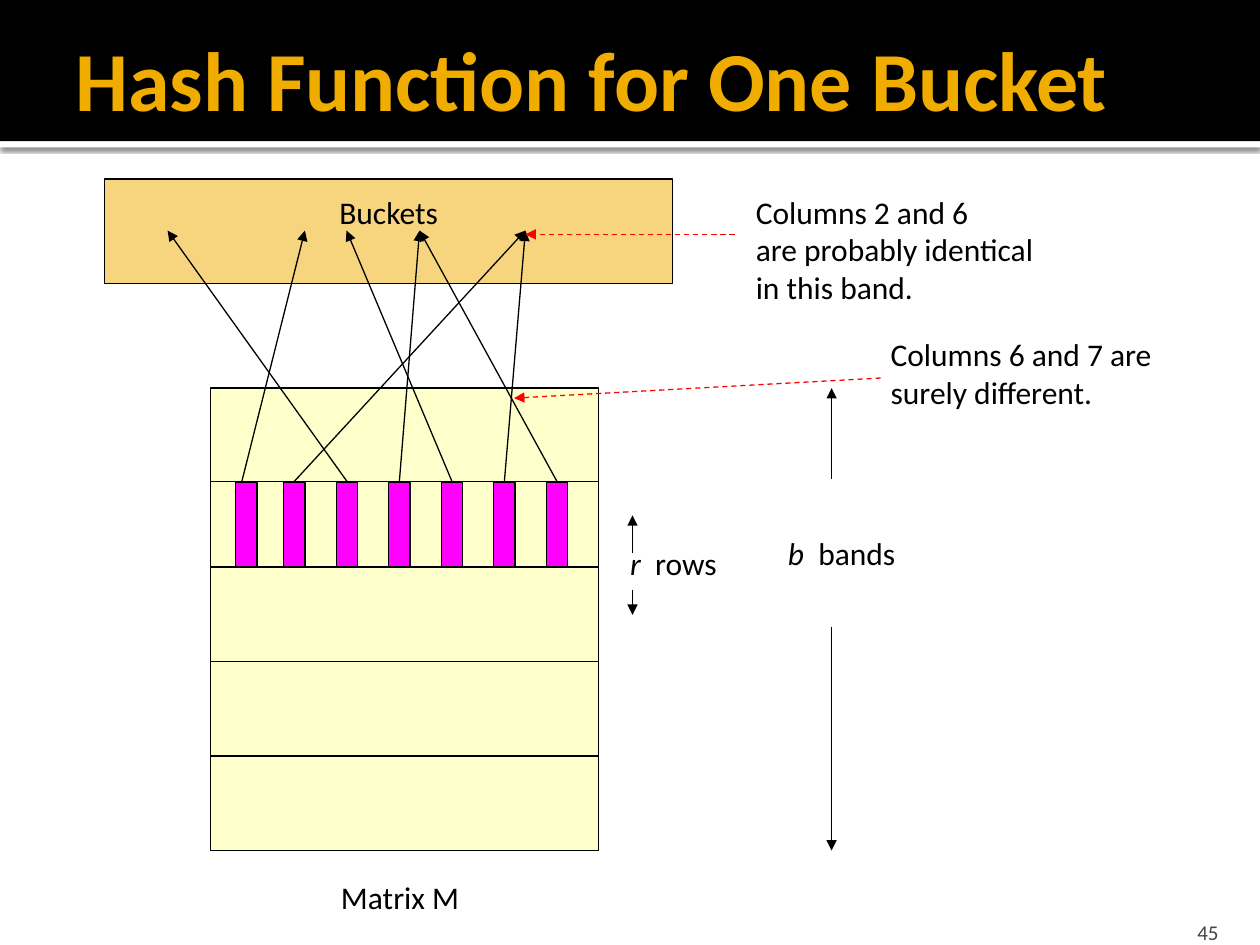
from lxml import etree
from pptx import Presentation
from pptx.dml.color import RGBColor
from pptx.enum import dml, shapes, text
from pptx.oxml import ns
from pptx.util import Inches, Pt

THEME = {
    "font": "Calibri", "title_size": 48, "body_size": 18, "number_size": 12, "line": 0.75,
    "black": "000000", "white": "FFFFFF", "gold": "F0AD00", "grey": "454545",
    "yellow": "FFFF99", "magenta": "FF00FF", "red": "FF0000",
}
LEFT, CENTER, RIGHT = text.PP_ALIGN.LEFT, text.PP_ALIGN.CENTER, text.PP_ALIGN.RIGHT
TOP, MIDDLE, BOTTOM = text.MSO_ANCHOR.TOP, text.MSO_ANCHOR.MIDDLE, text.MSO_ANCHOR.BOTTOM

TITLE = "Hash Function for One Bucket"
PAGE_NUMBER = "45"
BUCKETS = (0.83, 1.42, 4.51, 0.83)
MATRIX = (1.67, 3.08, 3.08, 3.67)
BAND_LINES = [3.82, 4.5, 5.25, 6]
BUCKET_X = [2.42, 4.17, 1.33, 3.33, 2.75, 4.17, 3.33]  # target of columns 1 to 7
BUCKET_Y = 1.83
COLUMN_X, COLUMN_STEP = 1.92, 5 / 12
SEGMENT_WIDTH, SEGMENT_HEIGHT, SEGMENT_TOP = 0.17, 0.67, 3.83
FIRST_SEGMENT_LEFT = 1.87
# Each label: box, alignment, paragraphs of (text, italic) runs
LABELS = [
    ((2.6, 6.92, 1.15, 0.4), CENTER, [[("Matrix M", False)]]),
    ((6.97, 2.61, 2.49, 0.7), LEFT,
     [[("Columns 6 and 7 are", False)], [("surely different.", False)]]),
    ((5.9, 1.48, 2.45, 1.01), LEFT,
     [[("Columns 2 and 6", False)], [("are probably identical", False)],
      [("in this band.", False)]]),
    ((4.86, 4.27, 0.97, 0.47), CENTER, [[("r ", True), (" rows", False)]]),
    ((6.1, 4.19, 1.16, 0.47), CENTER, [[("b ", True), (" bands", False)]]),
]
CALLOUT_ARROWS = [((6.99, 3), (4.08, 3.16)), ((5.83, 1.86), (4.17, 1.86))]
SPAN_ARROWS = [
    ((5.02, 4.39), (5.02, 4.09)), ((5.02, 4.68), (5.02, 4.88)),
    ((6.6, 3.8), (6.6, 3.08)), ((6.6, 4.98), (6.6, 6.75)),
]


def color(name):
    return RGBColor.from_string(THEME[name])


def add_child(parent, tag, **attributes):
    return etree.SubElement(parent, ns.qn(tag), attributes)


def add_box(slide, box, fill, alpha=None, outlined=True):
    """Add a rectangle; alpha is its opacity in percent."""
    shape = slide.shapes.add_shape(shapes.MSO_SHAPE.RECTANGLE, *map(Inches, box))
    shape.shadow.inherit = False
    shape.fill.solid()
    shape.fill.fore_color.rgb = color(fill)
    if alpha:
        rgb = shape._element.spPr.find(ns.qn("a:solidFill"))[0]
        add_child(rgb, "a:alpha", val=str(alpha * 1000))
    if outlined:
        shape.line.color.rgb = color("black")
        shape.line.width = Pt(THEME["line"])
    else:
        shape.line.fill.background()
    return shape


def add_line(slide, start, end, ink="black", arrow=True, dashed=False):
    line = slide.shapes.add_connector(
        shapes.MSO_CONNECTOR.STRAIGHT, *map(Inches, (*start, *end)))
    line.line.color.rgb = color(ink)
    line.line.width = Pt(THEME["line"])
    if dashed:
        line.line.dash_style = dml.MSO_LINE.DASH
    if arrow:
        add_child(line.line._get_or_add_ln(), "a:tailEnd", type="triangle")
    add_child(line._element.spPr, "a:effectLst")


def write(shape, paragraphs, align=LEFT, anchor=TOP, size="body_size", ink="black",
          bold=False, insets=(0.1, 0.05, 0.1, 0.05)):
    frame = shape.text_frame
    frame.word_wrap = align != CENTER
    frame.vertical_anchor = anchor
    (frame.margin_left, frame.margin_top,
     frame.margin_right, frame.margin_bottom) = map(Inches, insets)
    for index, runs in enumerate(paragraphs):
        paragraph = frame.add_paragraph() if index else frame.paragraphs[0]
        paragraph.alignment = align
        for content, italic in runs:
            run = paragraph.add_run()
            run.text = content
            run.font.name = THEME["font"]
            run.font.size = Pt(THEME[size])
            run.font.color.rgb = color(ink)
            run.font.bold = bold
            run.font.italic = italic


def add_text(slide, box, paragraphs, **style):
    write(slide.shapes.add_textbox(*map(Inches, box)), paragraphs, **style)


def add_header(slide):
    strip = add_box(slide, (0, 1.12, 10, 0.05), "white", outlined=False)
    effects = strip._element.spPr.find(ns.qn("a:effectLst"))
    shadow = add_child(effects, "a:outerShdw", blurRad=str(Pt(2.5)), dist=str(Pt(0.8)),
                       dir="5400000", algn="tl", rotWithShape="0")
    add_child(add_child(shadow, "a:srgbClr", val=THEME["black"]), "a:alpha", val="60000")
    add_box(slide, (0, 0, 10, 1.12), "black", outlined=False)
    add_text(slide, (0.5, 0.08, 9.5, 1.08), [[(TITLE, False)]], anchor=MIDDLE,
             size="title_size", ink="gold", bold=True, insets=(0.1, 0.05, 0.05, 0.05))
    add_text(slide, (8.97, 7.2, 0.8, 0.3), [[(PAGE_NUMBER, False)]], align=RIGHT,
             anchor=BOTTOM, size="number_size", ink="grey", insets=(0.1, 0.05, 0.1, 0))


def add_diagram(slide):
    add_box(slide, MATRIX, "yellow", alpha=50)
    left, right = MATRIX[0], MATRIX[0] + MATRIX[2]
    for y in BAND_LINES:
        add_line(slide, (left, y), (right, y), arrow=False)

    buckets = add_box(slide, BUCKETS, "gold", alpha=50)
    write(buckets, [[("Buckets", False)]], align=CENTER, insets=(0.1, 0.11, 0.1, 0.05))

    for index, bucket_x in enumerate(BUCKET_X):
        x = COLUMN_X + index * COLUMN_STEP
        segment_left = x - SEGMENT_WIDTH / 2 if index else FIRST_SEGMENT_LEFT
        add_box(slide, (segment_left, SEGMENT_TOP, SEGMENT_WIDTH, SEGMENT_HEIGHT), "magenta")
        add_line(slide, (x, BAND_LINES[0]), (bucket_x, BUCKET_Y))


def main():
    presentation = Presentation()
    presentation.slide_width, presentation.slide_height = Inches(10), Inches(7.5)
    slide = presentation.slides.add_slide(presentation.slide_layouts[6])
    add_header(slide)
    add_diagram(slide)
    for box, align, paragraphs in LABELS:
        add_text(slide, box, paragraphs, align=align)
    for start, end in CALLOUT_ARROWS:
        add_line(slide, start, end, ink="red", dashed=True)
    for start, end in SPAN_ARROWS:
        add_line(slide, start, end)
    presentation.save("out.pptx")


if __name__ == "__main__":
    main()
